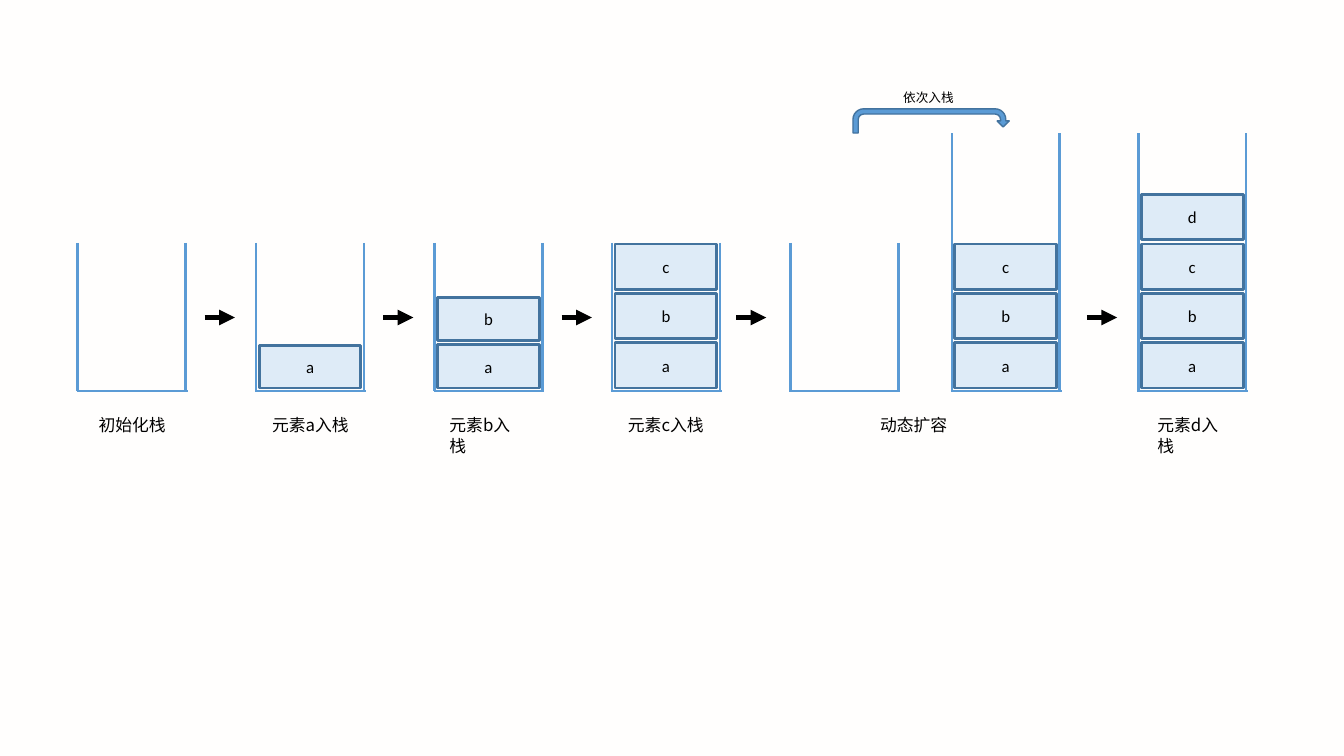
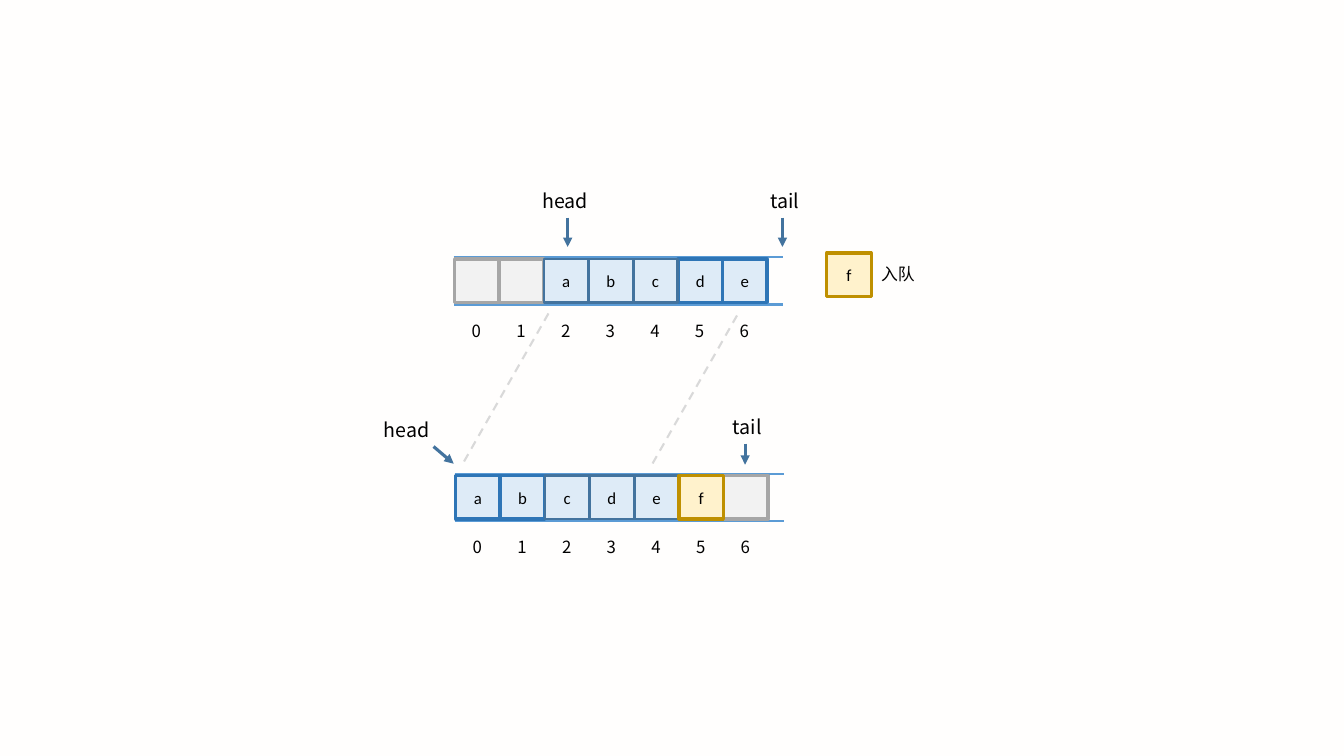
from dataclasses import dataclass
from typing import Any

from lxml import etree
from pptx import Presentation
from pptx.dml.color import RGBColor
from pptx.enum.dml import MSO_LINE
from pptx.enum.shapes import MSO_CONNECTOR, MSO_SHAPE
from pptx.enum.text import MSO_ANCHOR, PP_ALIGN
from pptx.oxml.ns import qn
from pptx.util import Inches, Pt

RECT = MSO_SHAPE.RECTANGLE
UTURN = MSO_SHAPE.U_TURN_ARROW
STRAIGHT = MSO_CONNECTOR.STRAIGHT
DASH = MSO_LINE.DASH
MIDDLE = MSO_ANCHOR.MIDDLE
TOP = MSO_ANCHOR.TOP
LEFT = PP_ALIGN.LEFT
CENTER = PP_ALIGN.CENTER

# Shared look
PAPER, BLACK = "FFFEFD", "000000"
BLUE, STEEL, PALE = "5B9BD5", "43739E", "DEEBF7"
SILVER = "D9D9D9"
SANS, LATIN = "Noto Sans CJK SC", "Calibri"


@dataclass(frozen=True)
class Style:
    fill: str
    edge: str
    weight: float


# Later styles lie over earlier ones where borders meet
STYLES = {
    "-": Style("F2F2F2", "A6A6A6", 2.25),
    "B": Style(PALE, "2E75B6", 2.25),
    "S": Style(PALE, STEEL, 2),
    "G": Style("FFF2CC", "BF9000", 2.25),
}


@dataclass(frozen=True)
class Stack:
    x: float
    items: str = ""
    top: float = 2.41
    label: str = ""
    shift: float = 0.06
    wrap: bool = True
    arrow: float = 0
    height: float = 0.45
    pitch: float = 0.49


@dataclass(frozen=True)
class Queue:
    x: float
    y: float
    items: str
    styles: str


STACKS = [
    Stack(0.77, label="初始化栈", shift=0.11, wrap=False),
    Stack(2.54, "a", label="元素a入栈", arrow=2.03, height=0.42),
    Stack(4.31, "ab", label="元素b入栈", shift=0.05, arrow=3.8,
          height=0.43, pitch=0.47),
    Stack(6.07, "abc", label="元素c入栈", arrow=5.57),
    Stack(7.84, label="动态扩容", shift=0.79, wrap=False, arrow=7.3),
    Stack(9.44, "abc", top=1.32),
    Stack(11.29, "abcd", top=1.32, label="元素d入栈", shift=0.09, arrow=10.78),
]
QUEUES = [
    Queue(4.5, 2.55, "  abcde", "--SSSBB"),
    Queue(4.51, 4.7, "abcdef ", "BBSSSG-"),
]
FLOOR = 3.88
SIDE, STEP = 0.44, 0.443


def paint(code: str) -> RGBColor:
    return RGBColor.from_string(code)


def write(frame: Any, text: str, *, size: float = 12, font: str = SANS,
          align: Any = LEFT, anchor: Any = TOP, wrap: bool = True) -> None:
    frame.word_wrap = wrap
    frame.vertical_anchor = anchor
    line = frame.paragraphs[0]
    line.alignment = align
    run = line.add_run()
    run.text = text
    run.font.size = Pt(size)
    run.font.color.rgb = paint(BLACK)
    run.font.name = font
    etree.SubElement(run.font._element, qn("a:ea")).set("typeface", font)


def label(slide: Any, x: float, y: float, w: float, h: float,
          text: str, **form: Any) -> None:
    box = slide.shapes.add_textbox(Inches(x), Inches(y), Inches(w), Inches(h))
    write(box.text_frame, text, **form)


def shape(slide: Any, kind: Any, x: float, y: float, w: float, h: float,
          style: Style) -> Any:
    item = slide.shapes.add_shape(kind, Inches(x), Inches(y), Inches(w), Inches(h))
    item.shadow.inherit = False
    item.fill.solid()
    item.fill.fore_color.rgb = paint(style.fill)
    item.line.color.rgb = paint(style.edge)
    item.line.width = Pt(style.weight)
    return item


def cell(slide: Any, x: float, y: float, w: float, h: float,
         text: str, style: Style) -> None:
    box = shape(slide, RECT, x, y, w, h, style)
    if text.strip():
        write(box.text_frame, text, font=LATIN, align=CENTER, anchor=MIDDLE)


def rule(slide: Any, x1: float, y1: float, x2: float, y2: float,
         color: str = BLUE, weight: float = 1.75, *,
         head: bool = False, dash: bool = False) -> None:
    link = slide.shapes.add_connector(
        STRAIGHT, Inches(x1), Inches(y1), Inches(x2), Inches(y2))
    link.line.color.rgb = paint(color)
    link.line.width = Pt(weight)
    if dash:
        link.line.dash_style = DASH
    if head:
        etree.SubElement(link.line._get_or_add_ln(), qn("a:tailEnd")).set("type", "triangle")
    etree.SubElement(link._element.spPr, qn("a:effectLst"))


def draw_stack(slide: Any, stack: Stack) -> None:
    x = stack.x
    for wall in (x, x + 1.07):
        rule(slide, wall, stack.top, wall, FLOOR)
    rule(slide, x - 0.01, FLOOR, x + 1.09, FLOOR)
    for i, name in enumerate(stack.items):
        y = FLOOR - 0.03 - stack.height - i * stack.pitch
        cell(slide, x + 0.03, y, 1.01, stack.height, name, STYLES["S"])
    if stack.label:
        label(slide, x + stack.shift, 4.07, 0.96 if stack.wrap else 0.87, 0.3,
              stack.label, wrap=stack.wrap)
    if stack.arrow:
        rule(slide, stack.arrow, 3.15, stack.arrow + 0.3, 3.15, BLACK, 3.75, head=True)


def draw_queue(slide: Any, queue: Queue) -> None:
    for y in (queue.y, queue.y + 0.47):
        rule(slide, queue.x, y, queue.x + 3.27, y)
    left = queue.x + 0.01
    for key, style in STYLES.items():
        for i, name in enumerate(queue.items):
            if queue.styles[i] == key:
                cell(slide, left + i * STEP, queue.y + 0.02, SIDE, 0.43, name, style)
    for i in range(len(queue.items)):
        label(slide, left + 0.07 + i * STEP, queue.y + 0.58, 0.3, 0.3,
              str(i), wrap=False)


def add_page(deck: Any) -> Any:
    slide = deck.slides.add_slide(deck.slide_layouts[6])
    slide.background.fill.solid()
    slide.background.fill.fore_color.rgb = paint(PAPER)
    return slide


def stack_page(deck: Any) -> None:
    slide = add_page(deck)
    for stack in STACKS:
        draw_stack(slide, stack)
    # Move into the larger stack
    turn = shape(slide, UTURN, 8.46, 1.08, 1.55, 0.24, Style(BLUE, STEEL, 1))
    for i, value in enumerate((0.217, 0.25, 0.25, 0.438, 0.75)):
        turn.adjustments[i] = value
    label(slide, 8.86, 0.84, 0.7, 0.25, "依次入栈", size=9, wrap=False)


def queue_page(deck: Any) -> None:
    slide = add_page(deck)
    for queue in QUEUES:
        draw_queue(slide, queue)
    # Head and tail marks
    for text, x, y, w, ends in (
        ("head", 5.28, 1.83, 1.07, (5.63, 2.16, 5.63, 2.45)),
        ("tail", 7.54, 1.83, 0.58, (7.76, 2.16, 7.76, 2.45)),
        ("head", 3.71, 4.1, 0.69, (4.3, 4.43, 4.5, 4.6)),
        ("tail", 7.17, 4.07, 0.69, (7.39, 4.4, 7.39, 4.61)),
    ):
        label(slide, x, y, w, 0.34, text, size=14)
        rule(slide, *ends, STEEL, 2.25, head=True)
    # Shift of the items to the front
    for x, y in ((5.44, 3.11), (7.31, 3.13)):
        rule(slide, x, y, x - 0.85, y + 1.49, SILVER, 1.5, dash=True)
    # New item
    label(slide, 8.64, 2.57, 0.53, 0.3, "入队", wrap=False)
    cell(slide, 8.2, 2.51, SIDE, 0.43, "f", STYLES["G"])


def main() -> None:
    deck = Presentation()
    deck.slide_width, deck.slide_height = Inches(13.33), Inches(7.5)
    stack_page(deck)
    queue_page(deck)
    deck.save("out.pptx")


if __name__ == "__main__":
    main()
